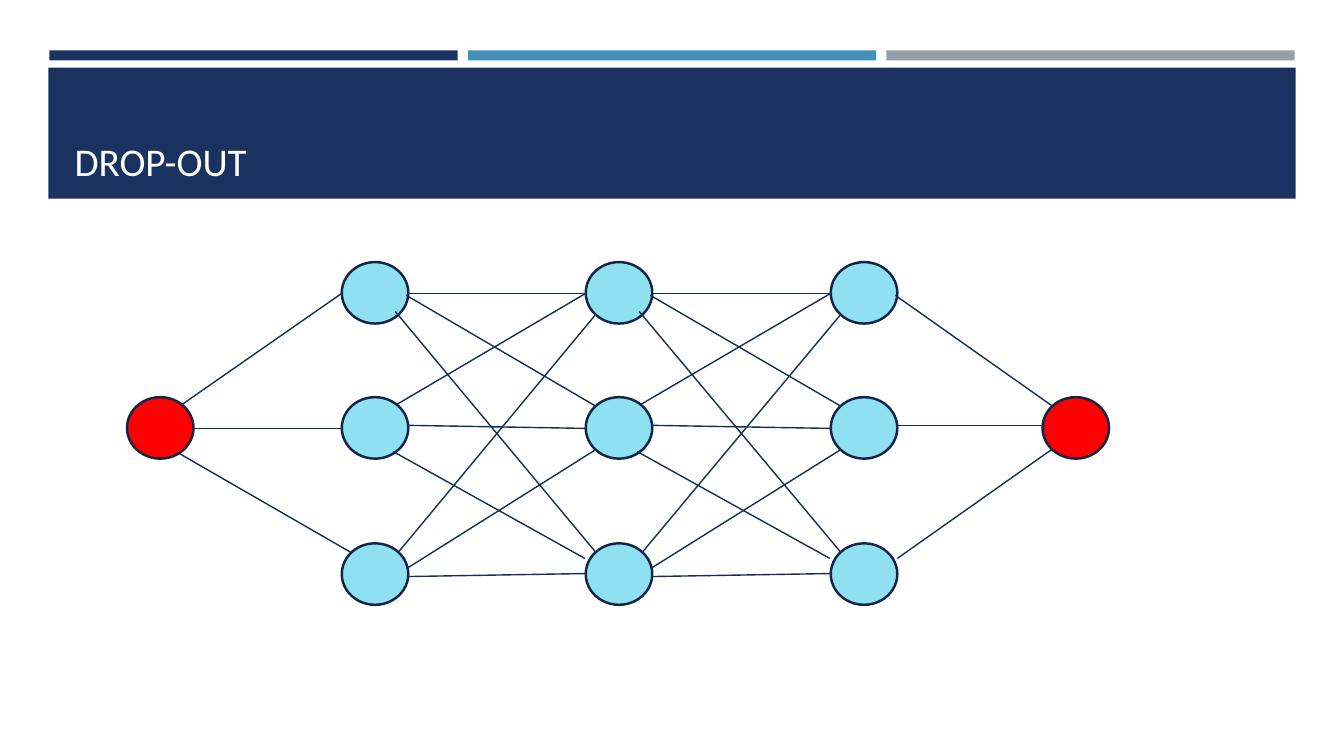
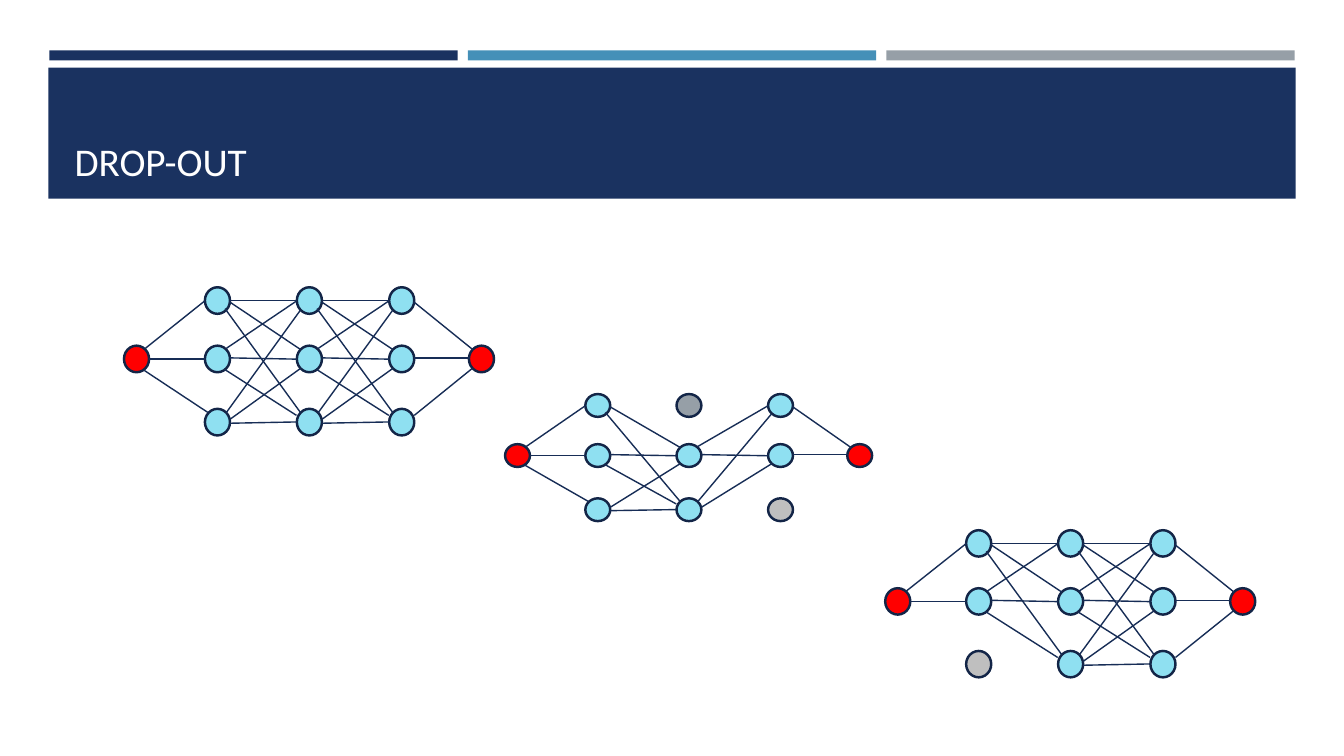
import pptx
import pptx.dml.color
import pptx.enum.shapes
import pptx.enum.text
import pptx.oxml.ns
import pptx.util
import lxml.etree

PX = 9144
COLORS = {
    "navy": "1A3260",
    "blue": "4590B8",
    "grey": "969FA7",
    "light_grey": "BFBFBF",
    "terminal": "FF0000",
    "hidden": "8FE0F1",
    "outline": "132547",
    "edge": "172D56",
    "title": "FFFFFF",
}
TITLE_FONT = "Calibri"

NET_W, NET_H = 974, 340
NODE_W, NODE_H = 66, 61
LAYER_X = [0, 213, 455, 698, 908]
ROW_Y = [0, 134, 279]
LAYER_ROWS = [[1], [0, 1, 2], [0, 1, 2], [0, 1, 2], [1]]

HIDDEN_PORTS = {
    (0, 0): ((65, 31), (0, 31)),
    (0, 1): ((64, 33), (10, 9)),
    (0, 2): ((53, 49), (10, 9)),
    (1, 0): ((55, 7), (0, 31)),
    (1, 1): ((66, 28), (0, 31)),
    (1, 2): ((51, 54), (-1, 15)),
    (2, 0): ((56, 9), (9, 53)),
    (2, 1): ((66, 24), (10, 52)),
    (2, 2): ((66, 33), (0, 30)),
}
INPUT_PORTS = HIDDEN_PORTS | {
    (1, 1): ((66, 31), (0, 31)),
    (1, 2): ((52, 56), (9, 9)),
}
OUTPUT_PORTS = HIDDEN_PORTS | {
    (1, 1): ((65, 28), (2, 28)),
    (2, 1): ((66, 15), (9, 52)),
}
STAGE_PORTS = [INPUT_PORTS, HIDDEN_PORTS, HIDDEN_PORTS, OUTPUT_PORTS]


def px(*lengths):
    return [pptx.util.Emu(round(length * PX)) for length in lengths]


def rgb(name):
    return pptx.dml.color.RGBColor.from_string(COLORS[name])


def add_filled(shapes, preset, box, fill):
    shape = shapes.add_shape(preset, *px(*box))
    shape.shadow.inherit = False
    shape.fill.solid()
    shape.fill.fore_color.rgb = rgb(fill)
    shape.line.fill.background()
    return shape


def add_node(shapes, box, fill):
    node = add_filled(shapes, pptx.enum.shapes.MSO_SHAPE.OVAL, box, fill)
    node.line.color.rgb = rgb("outline")
    node.line.width = pptx.util.Pt(1.75)


def add_edge(shapes, start, end):
    edge = shapes.add_connector(
        pptx.enum.shapes.MSO_CONNECTOR.STRAIGHT, *px(*start, *end))
    edge.line.color.rgb = rgb("edge")
    edge.line.width = pptx.util.Pt(1)
    lxml.etree.SubElement(edge.element.spPr, pptx.oxml.ns.qn("a:effectLst"))


def add_network(shapes, box, dropped):
    left, top, width, height = box
    scale_x, scale_y = width / NET_W, height / NET_H

    def place(layer, row, offset=(0, 0)):
        return (left + (LAYER_X[layer] + offset[0]) * scale_x,
                top + (ROW_Y[row] + offset[1]) * scale_y)

    for layer, rows in enumerate(LAYER_ROWS):
        kind = "terminal" if len(rows) == 1 else "hidden"
        for row in rows:
            node_box = (*place(layer, row), NODE_W * scale_x, NODE_H * scale_y)
            add_node(shapes, node_box, dropped.get((layer, row), kind))

    for layer, ports in enumerate(STAGE_PORTS):
        for (source, target), (leave, arrive) in ports.items():
            ends = {(layer, source), (layer + 1, target)}
            exists = (source in LAYER_ROWS[layer]
                      and target in LAYER_ROWS[layer + 1])
            if exists and not ends & dropped.keys():
                add_edge(shapes, place(layer, source, leave),
                         place(layer + 1, target, arrive))


def add_bands_to_layout(layout, slide):
    bands = [((49 + 415 * i, 50, 405, 10), fill)
             for i, fill in enumerate(["navy", "blue", "grey"])]
    bands.append(((48, 67, 1237, 130), "navy"))
    for position, (box, fill) in enumerate(bands, start=2):
        band = add_filled(
            slide.shapes, pptx.enum.shapes.MSO_SHAPE.RECTANGLE, box, fill)
        layout.shapes.element.insert(position, band.element)


def add_title(slide, box, text):
    title = slide.shapes.title
    title.left, title.top, title.width, title.height = px(*box)
    frame = title.text_frame
    frame.word_wrap = True
    frame.auto_size = pptx.enum.text.MSO_AUTO_SIZE.NONE
    frame.vertical_anchor = pptx.enum.text.MSO_ANCHOR.BOTTOM
    paragraph = frame.paragraphs[0]
    paragraph.alignment = pptx.enum.text.PP_ALIGN.LEFT
    run = paragraph.add_run()
    run.text = text
    run.font.name = TITLE_FONT
    run.font.size = pptx.util.Pt(28)
    run.font.color.rgb = rgb("title")


def add_dropout_slide(deck, layout):
    slide = deck.slides.add_slide(layout)
    add_title(slide, (64, 77, 1206, 111), "DROP-OUT")
    return slide


def main():
    deck = pptx.Presentation()
    deck.slide_width, deck.slide_height = px(1333, 750)
    layout = deck.slide_layouts[5]

    full_network = add_dropout_slide(deck, layout)
    add_bands_to_layout(layout, full_network)
    add_network(full_network.shapes, (126, 260, 974, 340), {})

    thinned_networks = add_dropout_slide(deck, layout)
    for box, dropped in [
        ((123, 285, 367, 147), {}),
        ((501, 391, 364, 126), {(2, 0): "grey", (3, 2): "light_grey"}),
        ((878, 526, 367, 146), {(1, 2): "light_grey"}),
    ]:
        group = thinned_networks.shapes.add_group_shape()
        add_network(group.shapes, box, dropped)

    deck.save("out.pptx")


if __name__ == "__main__":
    main()
